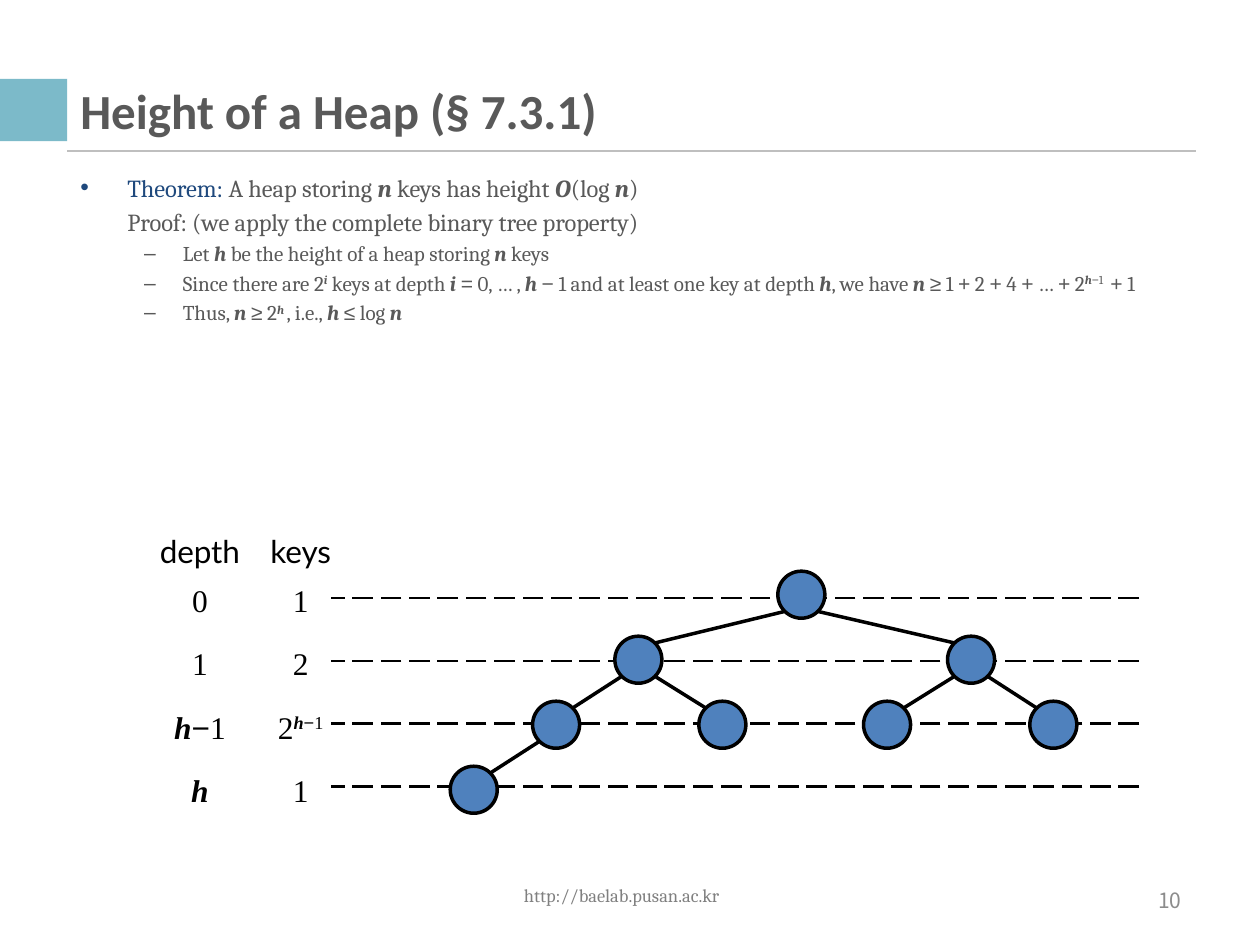
"""Build the slide on the height of a heap."""
from dataclasses import dataclass
from itertools import groupby

from lxml.etree import SubElement
from pptx import Presentation
from pptx.dml.color import RGBColor
from pptx.enum.dml import MSO_LINE
from pptx.enum.shapes import MSO_CONNECTOR, MSO_SHAPE
from pptx.enum.text import MSO_ANCHOR, MSO_AUTO_SIZE, PP_ALIGN
from pptx.oxml.ns import qn
from pptx.util import Inches, Pt


@dataclass(frozen=True)
class Theme:
    """Hold the colours, fonts and type sizes of the slide."""
    black: str = "000000"
    text: str = "595959"
    accent: str = "1F497D"
    node: str = "4F81BD"
    band: str = "7CBAC9"
    rule: str = "BFBFBF"
    footer: str = "808080"
    number: str = "8C8C8C"
    heading_font: str = "Calibri"
    body_font: str = "Cambria"
    symbol_font: str = "Arial"
    label_font: str = "Times New Roman"
    header_font: str = "Lato"
    number_font: str = "Noto Sans CJK KR"
    title_size: float = 21
    body_size: float = 10.5
    sub_size: float = 9
    label_size: float = 13.5
    footer_size: float = 7.9


THEME = Theme()
SYMBOLS = "=≥≤+−"
WIDTH = 7.5
RADIUS = 0.14
EDGE_OFFSET = 0.1
THIN, THICK = 1.1, 1.5

STATEMENTS = [
    (0, "•", "~Theorem:~ A heap storing *n* keys has height *O*(log *n*)"),
    (0, None, "Proof: (we apply the complete binary tree property)"),
    (1, "–", "Let *h* be the height of a heap storing *n *keys"),
    (1, "–", "Since there are 2^*i*^ keys at depth *i *= 0, … , *h *− 1 and at least one key "
             "at depth *h*, we have *n *≥ 1 + 2 + 4 + … + 2^*h*−1 ^ + 1"),
    (1, "–", "Thus, *n *≥ 2^*h *^, i.e., *h *≤ log *n*"),
]
LEVELS = [(0.28, -0.28, THEME.body_size), (0.61, -0.23, THEME.sub_size)]
HEADERS = [("depth", 0.68), ("keys", 0.57)]
DEPTH_ROWS = [
    [("0", 0.3), ("1", 0.3)],
    [("1", 0.3), ("2", 0.3)],
    [("*h*−1", 0.51), ("2^*h*−1^", 0.5)],
    [("*h*", 0.31), ("1", 0.3)],
]
HEAP_X = [4.77, 3.8, 5.78, 3.31, 4.3, 5.28, 6.27, 2.82]


def set_format(target, values):
    """Set each named attribute on the target."""
    for name, value in values.items():
        setattr(target, name, value)


def add_runs(p, markup, font, size, color):
    """Add runs: * is bold italic, ^ superscript, ~ accent, symbols get their own font."""
    on = {"*": False, "^": False, "~": False}

    def style(ch):
        """Return the style of one character, toggling the state at a mark."""
        if ch in on:
            on[ch] = not on[ch]
            return None
        return on["*"], on["^"], on["~"], ch in SYMBOLS

    for key, chars in groupby(markup, style):
        if key is None:
            continue
        strong, raised, accent, symbol = key
        r = p.add_run()
        r.text = "".join(chars)
        set_format(r.font, {"name": THEME.symbol_font if symbol else font,
                            "size": Pt(size), "bold": strong, "italic": strong})
        r.font.color.rgb = RGBColor.from_string(THEME.accent if accent else color)
        if raised:
            r.font._element.set("baseline", "30000")


def add_box(s, left, top, width, height, anchor=MSO_ANCHOR.TOP, wrap=True):
    """Add a text box and return its text frame."""
    tf = s.shapes.add_textbox(*map(Inches, (left, top, width, height))).text_frame
    fit = MSO_AUTO_SIZE.NONE if wrap else MSO_AUTO_SIZE.SHAPE_TO_FIT_TEXT
    set_format(tf, {"word_wrap": wrap, "vertical_anchor": anchor, "auto_size": fit})
    return tf


def add_label(s, box, text, font, size, color, align=PP_ALIGN.CENTER,
              anchor=MSO_ANCHOR.MIDDLE, wrap=True, bold=False):
    """Add one line of text in a box."""
    p = add_box(s, *box, anchor, wrap).paragraphs[0]
    p.alignment = align
    add_runs(p, text, font, size, color)
    if bold:
        for r in p.runs:
            r.font.bold = True


def add_line(s, start, end, color, width, dash=None):
    """Add a straight line without a shadow."""
    c = s.shapes.add_connector(MSO_CONNECTOR.STRAIGHT, *map(Inches, (*start, *end)))
    SubElement(c._element.spPr, qn("a:effectLst"))
    set_format(c.line, {"width": Pt(width), "dash_style": dash})
    c.line.color.rgb = RGBColor.from_string(color)


def add_filled(s, kind, box, fill, outline=None):
    """Add a filled shape with an optional outline."""
    sp = s.shapes.add_shape(kind, *map(Inches, box))
    sp.shadow.inherit = False
    sp.fill.solid()
    sp.fill.fore_color.rgb = RGBColor.from_string(fill)
    if outline:
        sp.line.width = Pt(THICK)
        sp.line.color.rgb = RGBColor.from_string(outline)
    else:
        sp.line.fill.background()


def add_statements(s):
    """Add the theorem and the steps of its proof."""
    tf = add_box(s, 0.38, 0.98, 6.75, 4.05)
    for i, (level, bullet, markup) in enumerate(STATEMENTS):
        p = tf.paragraphs[0] if i == 0 else tf.add_paragraph()
        margin, indent, size = LEVELS[level]
        set_format(p, {"level": level, "space_before": Pt(size * 0.2 if i else 0)})
        pPr = p._p.get_or_add_pPr()
        pPr.set("marL", str(Inches(margin)))
        pPr.set("indent", str(Inches(indent if bullet else 0)))
        if bullet:
            SubElement(pPr, qn("a:buFont"), typeface=THEME.symbol_font)
            SubElement(pPr, qn("a:buChar"), char=bullet)
        else:
            SubElement(pPr, qn("a:buNone"))
        add_runs(p, markup, THEME.body_font, size, THEME.text)


def add_depth_labels(s):
    """Add the depth and key labels."""
    rows = [(3.12, HEADERS, THEME.header_font)]
    rows += [(3.41 + 0.377 * i, row, THEME.label_font) for i, row in enumerate(DEPTH_ROWS)]
    for top, labels, font in rows:
        for center, (text, width) in zip((1.19, 1.79), labels):
            add_label(s, (center - width / 2, top, width, 0.33), text, font,
                      THEME.label_size, THEME.black, anchor=MSO_ANCHOR.TOP, wrap=False)


def add_heap(s):
    """Add the depth lines, the edges and the nodes of the heap."""
    for i in range(len(DEPTH_ROWS)):
        y = 3.56 + 0.374 * i
        add_line(s, (6.78, y), (1.97, y), THEME.black, THIN, MSO_LINE.LONG_DASH)
    nodes = [(x, 3.54 + 0.387 * ((i + 1).bit_length() - 1)) for i, x in enumerate(HEAP_X)]
    for i, (x, y) in enumerate(nodes[1:], 1):
        px, py = nodes[(i - 1) // 2]
        dx = EDGE_OFFSET if x > px else -EDGE_OFFSET
        add_line(s, (px + dx, py + EDGE_OFFSET), (x - dx, y - EDGE_OFFSET),
                 THEME.black, THICK)
    for x, y in nodes:
        add_filled(s, MSO_SHAPE.OVAL, (x - RADIUS, y - RADIUS, 2 * RADIUS, 2 * RADIUS),
                   THEME.node, THEME.black)


def main():
    """Build and save the slide."""
    prs = Presentation()
    set_format(prs, {"slide_width": Inches(WIDTH), "slide_height": Inches(WIDTH * 3 / 4)})
    s = prs.slides.add_slide(prs.slide_layouts[6])
    add_label(s, (2.51, 5.18, 2.38, 0.3), "http://baelab.pusan.ac.kr",
              THEME.body_font, THEME.footer_size, THEME.footer)
    add_filled(s, MSO_SHAPE.RECTANGLE, (0, 0.47, 0.4, 0.37), THEME.band)
    add_line(s, (0.4, 0.9), (7.12, 0.9), THEME.rule, THIN)
    add_label(s, (0.38, 0.48, 6.75, 0.35), "Height of a Heap (§ 7.3.1)", THEME.heading_font,
              THEME.title_size, THEME.text, align=PP_ALIGN.LEFT, bold=True)
    add_statements(s)
    add_heap(s)
    add_depth_labels(s)
    add_label(s, (5.38, 5.21, 1.75, 0.3), "10", THEME.number_font, THEME.sub_size,
              THEME.number, align=PP_ALIGN.RIGHT)
    prs.save("out.pptx")


if __name__ == "__main__":
    main()
